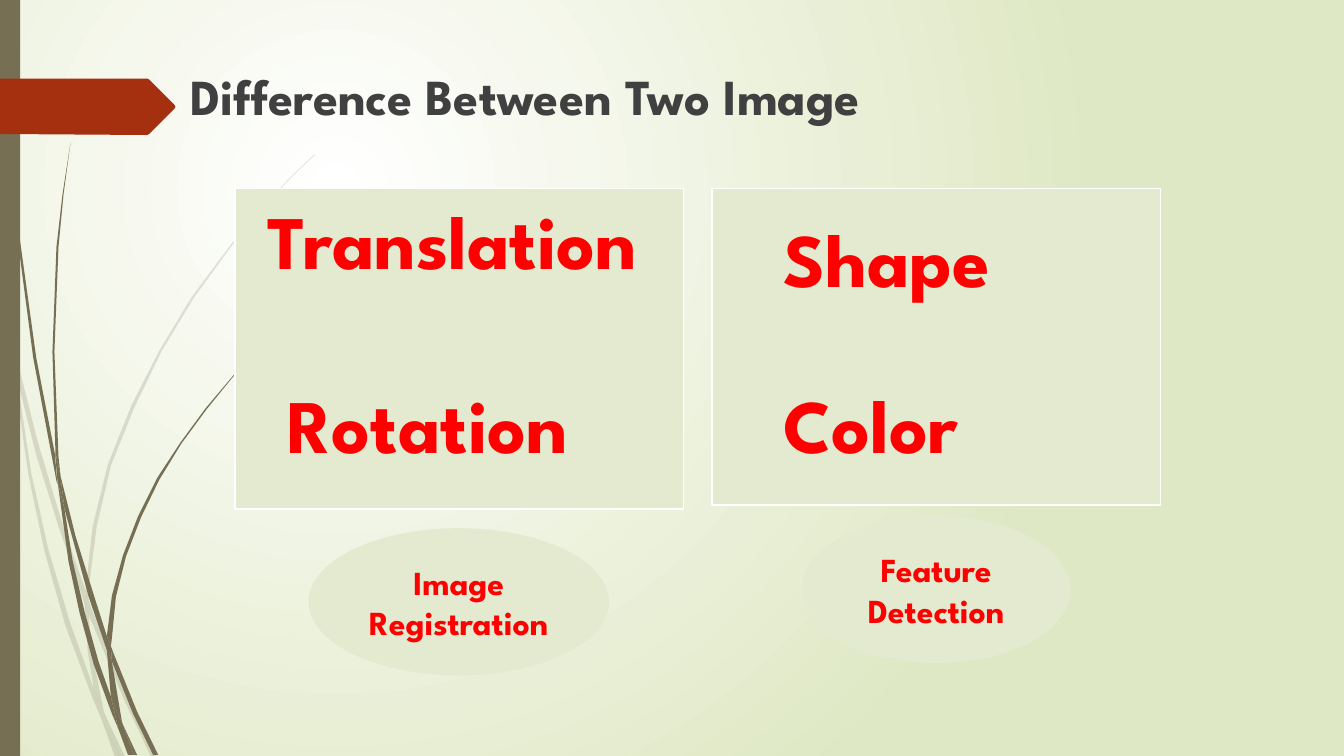
"""Build the slide on the differences between two images."""
from dataclasses import dataclass

from lxml import etree
from pptx import Presentation
from pptx import util as u
from pptx.dml.color import RGBColor
from pptx.enum import shapes, text
from pptx.oxml.ns import qn


@dataclass(frozen=True)
class Theme:
    font: str = "League Spartan"
    title_size: int = 36
    word_size: int = 54
    label_size: int = 24
    title: str = "404040"
    accent: str = "FF0000"
    panel: str = "E3EACF"
    edge: str = "FFFFFF"
    stem: str = "766F54"
    ribbon: str = "A53010"
    glow: str = "FFFFFF"
    meadow: str = "DFE8C4"


THEME = Theme()

PALE_GRASS = [
    [(0.11, 3.5), (0.09, 3.22), (0, 2.82), (0, 2.99), (0.1, 3.44)],
    [(0.58, 5.22), (0.84, 5.99), (0.85, 5.86), (0.62, 5.2), (0.37, 4.37),
     (0.14, 3.45), (0.17, 3.76), (0.36, 4.52)],
    [(0.92, 6.07), (0.88, 5.96), (0.88, 6.1), (1.23, 6.94), (1.5, 7.51),
     (1.55, 7.51), (1.27, 6.92)],
    [(1.19, 7.51), (1.24, 7.51), (1.05, 7.11)],
    [(0.93, 6.83), (0.7, 6.19), (0.48, 5.45), (0.31, 4.69), (0.17, 3.76),
     (0.11, 3.5), (0.28, 4.7), (0.44, 5.46), (0.65, 6.21), (0.92, 6.93),
     (1.01, 7.14), (0.99, 7.07)],
    [(0.84, 5.99), (0.87, 6.46), (0.93, 6.83), (0.96, 6.92), (1.05, 7.11),
     (1.03, 7.06), (0.91, 6.46), (0.88, 6.1), (0.88, 6.08)],
    [(0.88, 5.84), (0.96, 5.22), (1.1, 4.62), (1.33, 4.05), (1.6, 3.49),
     (1.92, 2.96), (2.29, 2.45), (2.68, 1.98), (2.9, 1.75), (3.12, 1.54),
     (3.12, 1.53), (2.89, 1.75), (2.68, 1.97), (2.28, 2.44), (1.9, 2.95),
     (1.58, 3.48), (1.3, 4.03), (1.07, 4.61), (0.92, 5.22), (0.85, 5.84),
     (0.85, 5.86), (0.88, 5.96)],
    [(1.01, 7.14), (1.14, 7.51), (1.19, 7.51)],
    [(0.88, 6.08), (0.88, 6.1), (0.88, 5.96), (0.85, 5.86), (0.84, 5.99)],
    [(0.96, 6.92), (0.93, 6.83), (0.99, 7.07), (1.01, 7.14), (1.19, 7.51),
     (1.05, 7.11)],
]

DARK_GRASS = [
    [(0.07, 1.1), (0.17, 2.33), (0.33, 3.55), (0.56, 4.77), (0.57, 4.81),
     (0.55, 4.57), (0.55, 4.53), (0.36, 3.55), (0.19, 2.32), (0.08, 1.09),
     (0.05, 0.48), (0.04, 0), (0.03, 0), (0.04, 0.48)],
    [(0.88, 5.92), (1.06, 6.45), (1.06, 6.31), (0.93, 5.9), (0.75, 5.32),
     (0.6, 4.72), (0.64, 5.05)],
    [(1.13, 6.49), (1.1, 6.41), (1.11, 6.56), (1.32, 7.08), (1.52, 7.49),
     (1.57, 7.49), (1.36, 7.06)],
    [(1.1, 6.91), (0.98, 6.57), (0.84, 6.07), (0.72, 5.56), (0.64, 5.05),
     (0.57, 4.77), (0.68, 5.57), (0.79, 6.08), (0.93, 6.59), (1.11, 7.08),
     (1.17, 7.22), (1.16, 7.17)],
    [(0.6, 4.72), (0.58, 4.53), (0.54, 3.49), (0.58, 2.45), (0.63, 1.93),
     (0.7, 1.41), (0.62, 1.93), (0.56, 2.45), (0.52, 3.49), (0.55, 4.49)],
    [(1.33, 7.49), (1.36, 7.49), (1.22, 7.19)],
    [(0.57, 4.77), (0.64, 5.05), (0.6, 4.72), (0.55, 4.49), (0.55, 4.53)],
    [(1.11, 6.33), (1.15, 5.92), (1.25, 5.52), (1.4, 5.13), (1.58, 4.76),
     (1.8, 4.4), (2.05, 4.06), (2.31, 3.74), (2.45, 3.59), (2.61, 3.44),
     (2.6, 3.44), (2.45, 3.58), (2.31, 3.73), (2.04, 4.05), (1.79, 4.39),
     (1.56, 4.74), (1.37, 5.12), (1.22, 5.51), (1.11, 5.91), (1.06, 6.31),
     (1.1, 6.41)],
    [(1.17, 7.22), (1.27, 7.49), (1.31, 7.49)],
    [(1.06, 6.45), (1.1, 6.91), (1.16, 7.06), (1.22, 7.19), (1.21, 7.16),
     (1.11, 6.56), (1.09, 6.51)],
    [(1.06, 6.45), (1.09, 6.51), (1.11, 6.56), (1.1, 6.41), (1.06, 6.31)],
    [(1.16, 7.06), (1.1, 6.91), (1.16, 7.17), (1.17, 7.22), (1.3, 7.49),
     (1.33, 7.49), (1.22, 7.19)],
]

RIBBON = [(1.73, 1.08), (1.48, 1.33), (1.46, 1.34), (0, 1.33), (0, 0.78),
          (1.46, 0.78), (1.48, 0.79), (1.73, 1.04), (1.74, 1.06)]


def paint(shape, color, edge=None, alpha=None):
    """Fill a shape, with an optional edge colour and opacity in percent."""
    shape.shadow.inherit = False
    shape.fill.solid()
    shape.fill.fore_color.rgb = RGBColor.from_string(color)
    if alpha is not None:
        tone = shape.fill._xPr.find(".//" + qn("a:srgbClr"))
        etree.SubElement(tone, qn("a:alpha"), val=str(alpha * 1000))
    if edge:
        shape.line.color.rgb = RGBColor.from_string(edge)
        shape.line.width = u.Pt(1.25)
    else:
        shape.line.fill.background()


def write(shape, words, size, color, align=text.PP_ALIGN.LEFT,
          anchor=text.MSO_ANCHOR.TOP):
    """Write one bold paragraph in a shape."""
    frame = shape.text_frame
    frame.word_wrap = True
    frame.vertical_anchor = anchor
    para = frame.paragraphs[0]
    para.alignment = align
    span = para.add_run()
    span.text = words
    span.font.name = THEME.font
    span.font.size = u.Pt(size)
    span.font.bold = True
    span.font.color.rgb = RGBColor.from_string(color)


def add_preset(parent, kind, place, color, edge=None):
    """Add a painted preset shape at left, top, width, height."""
    shape = parent.shapes.add_shape(kind, *map(u.Inches, place))
    paint(shape, color, edge)
    return shape


def add_outline(parent, points, color, alpha=None):
    """Add a closed painted outline."""
    corners = [(u.Inches(x), u.Inches(y)) for x, y in points]
    builder = parent.shapes.build_freeform(*corners[0])
    builder.add_line_segments(corners[1:], close=True)
    paint(builder.convert_to_shape(), color, alpha=alpha)


def add_grass(page, blades, alpha=None):
    """Add a group of grass blades."""
    group = page.shapes.add_group_shape()
    for blade in blades:
        add_outline(group, blade, THEME.stem, alpha)


def add_panel(page, panel, oval, label):
    """Add a framed panel with a labelled oval below it."""
    group = page.shapes.add_group_shape()
    add_preset(group, shapes.MSO_SHAPE.RECTANGLE, panel, THEME.panel, THEME.edge)
    badge = add_preset(group, shapes.MSO_SHAPE.OVAL, oval, THEME.panel)
    write(badge, label, THEME.label_size, THEME.accent,
          align=text.PP_ALIGN.CENTER, anchor=text.MSO_ANCHOR.MIDDLE)


def add_text(page, place, words, size, color):
    """Add a text box at left, top, width, height."""
    box = page.shapes.add_textbox(*map(u.Inches, place))
    write(box, words, size, color)


def add_background(page):
    """Give the page a round glow off its centre."""
    fill = page.background.fill
    fill.gradient()
    for stop, color in zip(fill.gradient_stops, (THEME.glow, THEME.meadow)):
        stop.color.rgb = RGBColor.from_string(color)
    linear = page._element.find(".//" + qn("a:lin"))
    circle = etree.Element(qn("a:path"), {"path": "circle"})
    etree.SubElement(circle, qn("a:fillToRect"),
                     l="50000", t="50000", r="100000", b="100000")
    linear.getparent().replace(linear, circle)


def main():
    """Build and save the deck."""
    deck = Presentation()
    deck.slide_width, deck.slide_height = u.Inches(13.33), u.Inches(7.5)
    page = deck.slides.add_slide(deck.slide_layouts[6])
    add_background(page)
    add_grass(page, PALE_GRASS, alpha=20)
    add_grass(page, DARK_GRASS)
    add_preset(page, shapes.MSO_SHAPE.RECTANGLE, (0, 0, 0.2, 7.5), THEME.stem)
    add_outline(page, RIBBON, THEME.ribbon)
    add_panel(page, (7.06, 1.87, 4.45, 3.14), (7.95, 5.12, 2.67, 1.46),
              "Feature Detection")
    add_panel(page, (2.33, 1.87, 4.45, 3.18), (3.06, 5.24, 2.98, 1.46),
              "Image Registration")
    add_text(page, (1.79, 0.6, 7.85, 0.96), "Difference Between Two Image",
             THEME.title_size, THEME.title)
    for words, place in (("Translation", (2.55, 1.87, 4.09, 1.31)),
                         ("Rotation", (2.75, 3.7, 3.67, 1.31)),
                         ("Color", (7.67, 3.7, 2.93, 1.31)),
                         ("Shape", (7.67, 2.05, 2.93, 1.44))):
        add_text(page, place, words, THEME.word_size, THEME.accent)
    deck.save("out.pptx")


if __name__ == "__main__":
    main()
